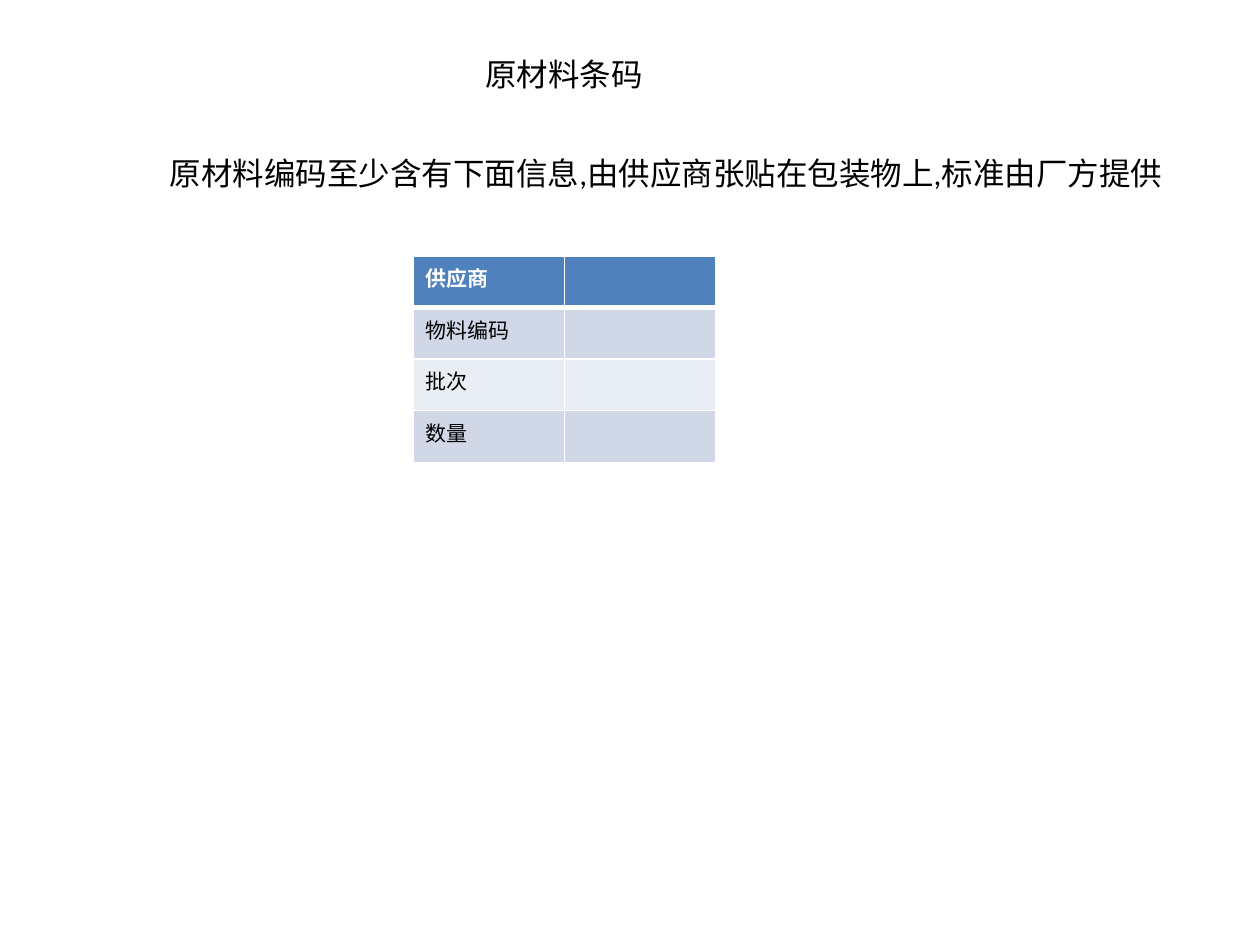
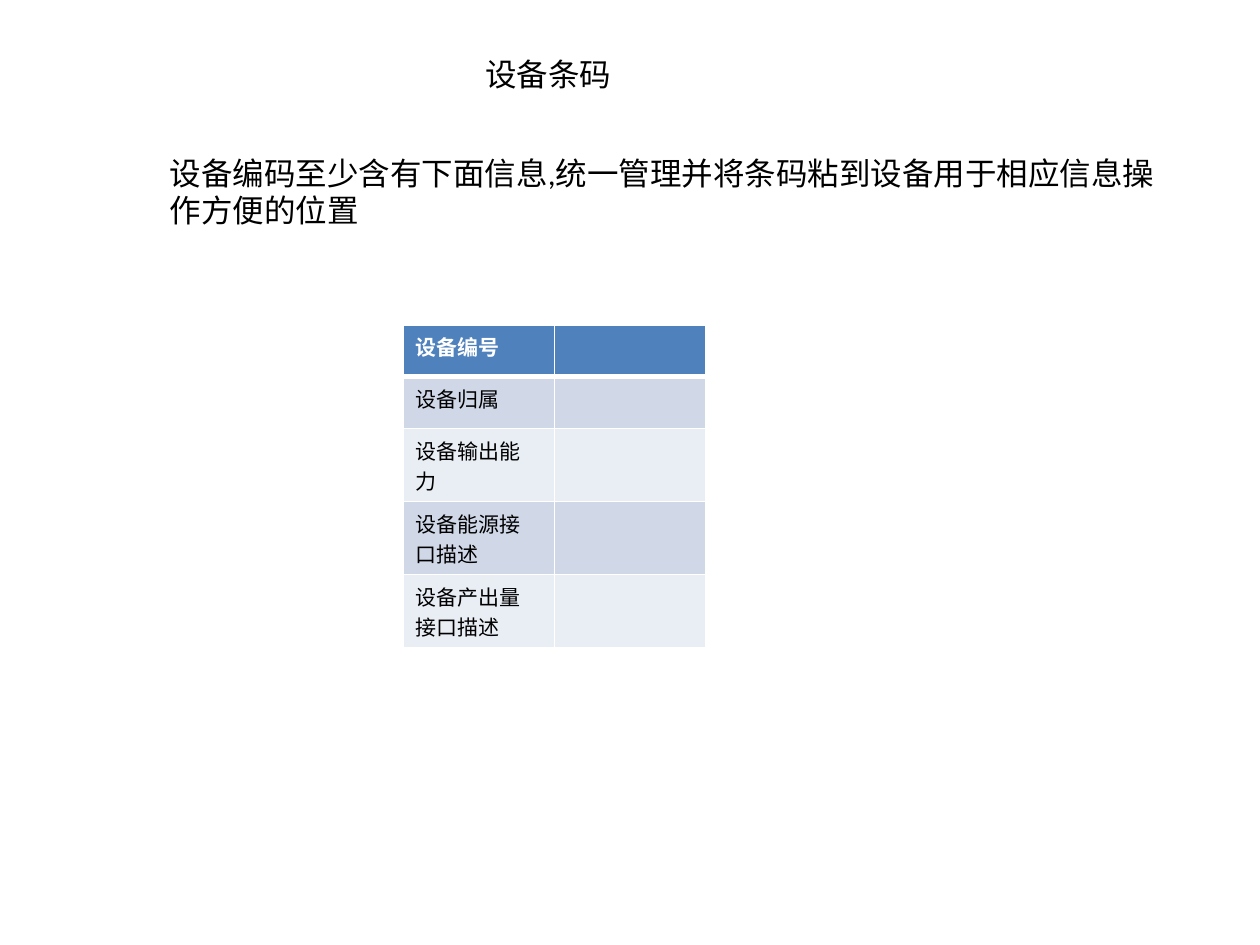
"""Build two slides that list the fields required on material and equipment barcodes."""
from dataclasses import dataclass

from lxml.etree import SubElement
from pptx import Presentation
from pptx.dml.color import RGBColor
from pptx.enum.text import MSO_ANCHOR, MSO_AUTO_SIZE, PP_ALIGN
from pptx.oxml.ns import qn
from pptx.util import Inches, Pt

BARCODES = [
    {
        "title": "原材料条码",
        "rule": "原材料编码至少含有下面信息,由供应商张贴在包装物上,标准由厂方提供",
        "rule_width": 8.15,
        "fields": ["供应商", "物料编码", "批次", "数量"],
        "table_at": (3.28, 2.03),
    },
    {
        "title": "设备条码",
        "rule": "设备编码至少含有下面信息,统一管理并将条码粘到设备用于相应信息操作方便的位置",
        "rule_width": 8.05,
        "fields": ["设备编号", "设备归属", "设备输出能力", "设备能源接口描述", "设备产出量接口描述"],
        "table_at": (3.2, 2.58),
    },
]


@dataclass(frozen=True)
class Theme:
    font: str = "Calibri"
    ink: str = "000000"
    white: str = "FFFFFF"
    header: str = "4F81BD"
    bands: tuple = ("D0D8E8", "E9EDF4")
    text_size: int = 18
    cell_size: int = 12
    border: int = 1
    header_rule: int = 3


THEME = Theme()
TITLE_AT = (3.75, 0.39)
RULE_AT = (1.25, 1.17)
TITLE_HEIGHT, RULE_HEIGHT = 0.4, 0.71
TITLE_PADDING = 0.26
COLUMN_WIDTH = 1.2
CHARACTERS_PER_LINE = 5
ROW_HEIGHT, WRAPPED_ROW_HEIGHT = 0.41, 0.58
CELL_MARGINS = {"margin_left": Inches(0.1), "margin_right": Inches(0.16)}


def apply(target, values):
    for attribute, value in values.items():
        setattr(target, attribute, value)


def place(shape, left, top, width, height):
    box = {"left": left, "top": top, "width": width, "height": height}
    apply(shape, {side: Inches(length) for side, length in box.items()})


def write(frame, text, size, color, bold=False):
    paragraph = frame.paragraphs[0]
    paragraph.alignment = PP_ALIGN.LEFT
    run = paragraph.add_run()
    run.text = text
    apply(run.font, {"name": THEME.font, "size": Pt(size), "bold": bold})
    run.font.color.rgb = RGBColor.from_string(color)


def add_border(cell, side, points):
    line = SubElement(cell._tc.get_or_add_tcPr(), qn(f"a:ln{side}"), w=str(Pt(points)))
    SubElement(SubElement(line, qn("a:solidFill")), qn("a:srgbClr"), val=THEME.white)


def style_cell(cell, row):
    apply(cell, CELL_MARGINS)
    for side in "LRTB":
        by_header = (row, side) in ((0, "B"), (1, "T"))
        add_border(cell, side, THEME.header_rule if by_header else THEME.border)
    cell.fill.solid()
    color = THEME.bands[(row - 1) % 2] if row else THEME.header
    cell.fill.fore_color.rgb = RGBColor.from_string(color)


def row_height(field):
    return WRAPPED_ROW_HEIGHT if len(field) > CHARACTERS_PER_LINE else ROW_HEIGHT


def add_fields(slide, fields, left, top):
    size = (2 * COLUMN_WIDTH, sum(map(row_height, fields)))
    table = slide.shapes.add_table(len(fields), 2, *map(Inches, (left, top, *size))).table
    for row, field in enumerate(fields):
        table.rows[row].height = Inches(row_height(field))
        label, blank = table.cell(row, 0), table.cell(row, 1)
        style_cell(label, row)
        style_cell(blank, row)
        write(label.text_frame, field, THEME.cell_size, THEME.ink if row else THEME.white, row == 0)
        SubElement(blank.text_frame.paragraphs[0]._p, qn("a:endParaRPr"), sz=str(THEME.cell_size * 100))


def add_text(shape, text):
    apply(shape.text_frame, {
        "word_wrap": True,
        "auto_size": MSO_AUTO_SIZE.SHAPE_TO_FIT_TEXT,
        "vertical_anchor": MSO_ANCHOR.TOP,
    })
    write(shape.text_frame, text, THEME.text_size, THEME.ink)


def add_barcode_slide(deck, barcode):
    slide = deck.slides.add_slide(deck.slide_layouts[5])
    title = slide.shapes.title
    title_width = len(barcode["title"]) * THEME.text_size / 72 + TITLE_PADDING
    place(title, *TITLE_AT, title_width, TITLE_HEIGHT)
    add_text(title, barcode["title"])
    rule_box = (*RULE_AT, barcode["rule_width"], RULE_HEIGHT)
    rule = slide.shapes.add_textbox(*map(Inches, rule_box))
    add_text(rule, barcode["rule"])
    add_fields(slide, barcode["fields"], *barcode["table_at"])


deck = Presentation()
apply(deck, {"slide_width": Inches(10), "slide_height": Inches(7.5)})
for barcode in BARCODES:
    add_barcode_slide(deck, barcode)
deck.save("out.pptx")
